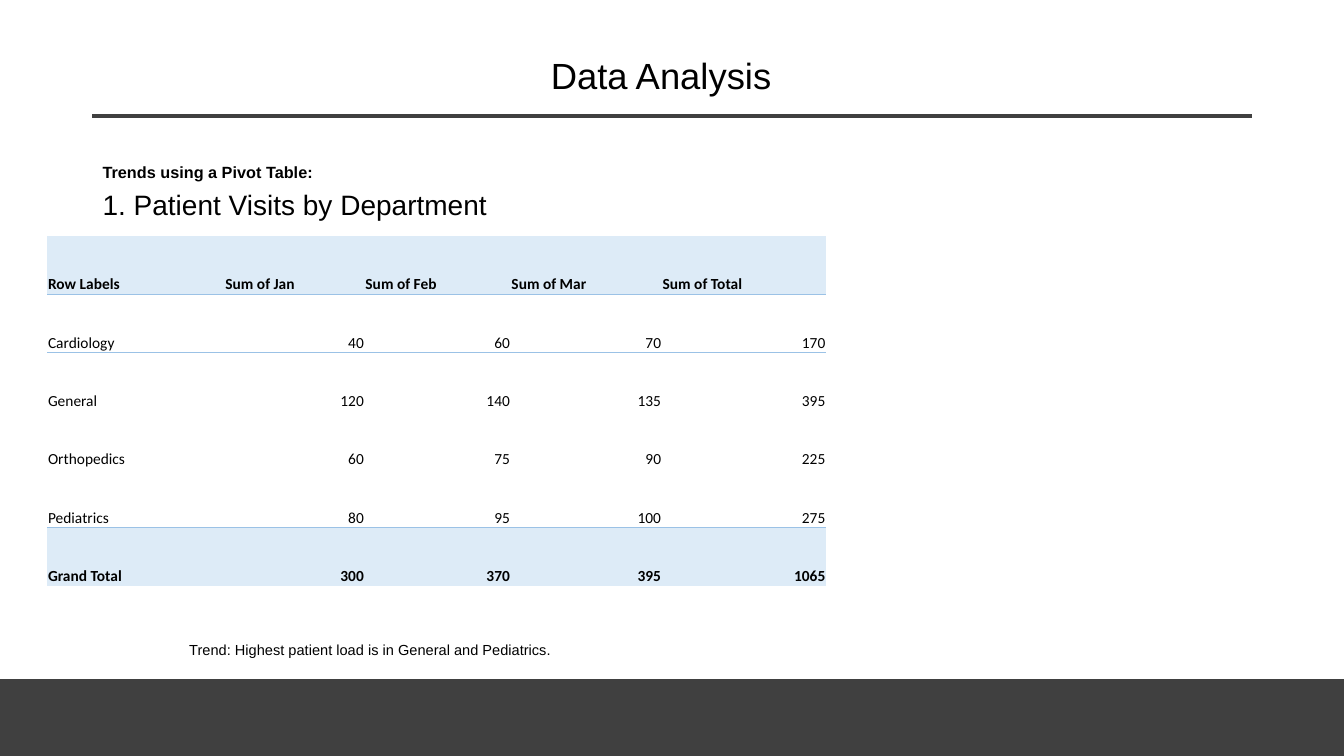
from dataclasses import dataclass

from lxml import etree
from pptx import Presentation
from pptx.dml.color import RGBColor
from pptx.enum.shapes import MSO_CONNECTOR, MSO_SHAPE
from pptx.enum.text import MSO_ANCHOR, MSO_AUTO_SIZE, PP_ALIGN
from pptx.oxml.ns import qn
from pptx.util import Cm, Pt

LEFT, CENTER, RIGHT = PP_ALIGN.LEFT, PP_ALIGN.CENTER, PP_ALIGN.RIGHT
MIDDLE, BOTTOM = MSO_ANCHOR.MIDDLE, MSO_ANCHOR.BOTTOM
NO_FIT, GROW = MSO_AUTO_SIZE.NONE, MSO_AUTO_SIZE.SHAPE_TO_FIT_TEXT
NO_GRID_STYLE = "{2D5ABB26-0587-4C30-8999-92F81FD0307C}"


@dataclass(frozen=True)
class Theme:
    ink: RGBColor = RGBColor(0, 0, 0)
    dark: RGBColor = RGBColor(0x40, 0x40, 0x40)
    band: RGBColor = RGBColor(0xDD, 0xEB, 0xF7)
    rule: str = "9BC2E6"
    text_font: str = "Arial"
    table_font: str = "Calibri"
    title_size: Pt = Pt(26)
    body_size: Pt = Pt(20)
    note_size: Pt = Pt(18)
    table_size: Pt = Pt(11)


THEME = Theme()


def style(para, size, name=THEME.text_font, bold=False, align=LEFT):
    para.alignment = align
    para.font.size, para.font.name, para.font.bold = size, name, bold
    para.font.color.rgb = THEME.ink


def add_lowered_span(para, text):
    """Add a run set as subscript, a quarter below the baseline."""
    span = para.add_run()
    span.text = text
    span._r.get_or_add_rPr().set("baseline", "-25000")


deck = Presentation()
deck.slide_width, deck.slide_height = Cm(33.87), Cm(19.05)
page = deck.slides.add_slide(deck.slide_layouts[1])

# Footer band and title rule
footer = page.shapes.add_shape(MSO_SHAPE.RECTANGLE, 0, Cm(17.14), deck.slide_width, Cm(1.91))
footer.shadow.inherit = False
footer.fill.solid()
footer.fill.fore_color.rgb = THEME.dark
footer.line.color.rgb = THEME.dark
footer.line.width = Pt(1)

title_rule = page.shapes.add_connector(
    MSO_CONNECTOR.STRAIGHT, Cm(2.33), Cm(2.92), Cm(31.54), Cm(2.92))
title_rule.line.color.rgb = THEME.dark
title_rule.line.width = Pt(3)
etree.SubElement(title_rule._element.spPr, qn("a:effectLst"))

# Title
title = page.shapes.title
title.left, title.top, title.width, title.height = Cm(2.06), Cm(0.94), Cm(29.21), Cm(1.91)
title.text_frame.text = "Data Analysis"
title.text_frame.vertical_anchor = MIDDLE
title.text_frame.auto_size = NO_FIT
style(title.text_frame.paragraphs[0], THEME.title_size, align=CENTER)

# Headings above the table
body = page.placeholders[1]
body.left, body.top, body.width, body.height = Cm(2.33), Cm(3.35), Cm(29.21), Cm(13.41)
frame = body.text_frame
frame.auto_size = NO_FIT
frame.margin_top = Cm(0.27)
heading, subheading = frame.paragraphs[0], frame.add_paragraph()
add_lowered_span(heading, "Trends using a Pivot Table:")
subheading.add_run().text = "1. Patient Visits by Department"
for para, space, bold in ((heading, 0, True), (subheading, 4, False)):
    props = para._p.get_or_add_pPr()
    props.set("marL", "0")
    props.set("indent", "0")
    etree.SubElement(props, qn("a:buNone"))
    para.space_before = Pt(space)
    style(para, THEME.body_size, bold=bold)

# Pivot table
visits = [
    ("Row Labels", "Sum of Jan", "Sum of Feb", "Sum of Mar", "Sum of Total"),
    ("Cardiology", 40, 60, 70, 170),
    ("General", 120, 140, 135, 395),
    ("Orthopedics", 60, 75, 90, 225),
    ("Pediatrics", 80, 95, 100, 275),
    ("Grand Total", 300, 370, 395, 1065),
]
column_widths = [4.47, 3.53, 3.68, 3.81, 4.14]
row_height = 1.47
last = len(visits) - 1
table_frame = page.shapes.add_table(
    len(visits), len(column_widths), Cm(1.19), Cm(5.94),
    Cm(sum(column_widths)), Cm(row_height * len(visits)))
table = table_frame.table
table.first_row = table.horz_banding = False
table._tbl.tblPr.find(qn("a:tableStyleId")).text = NO_GRID_STYLE
for column, width in zip(table.columns, column_widths):
    column.width = Cm(width)

for r, values in enumerate(visits):
    table.rows[r].height = Cm(row_height)
    banded = r in (0, last)
    for c, value in enumerate(values):
        cell = table.cell(r, c)
        cell.text = str(value)
        cell.vertical_anchor = BOTTOM
        cell.margin_left = cell.margin_right = cell.margin_top = Cm(0.02)
        cell.margin_bottom = 0
        style(cell.text_frame.paragraphs[0], THEME.table_size, THEME.table_font,
              banded, LEFT if isinstance(value, str) else RIGHT)
        if banded:
            cell.fill.solid()
            cell.fill.fore_color.rgb = THEME.band
        else:
            cell.fill.background()
        # Thin rules under the header and above the grand total
        edges = [("a:lnT", r in (1, last)), ("a:lnB", r in (0, last - 1))]
        for edge in [tag for tag, ruled in edges if ruled]:
            border = etree.Element(qn(edge), w=str(Pt(0.5)))
            fill = etree.SubElement(border, qn("a:solidFill"))
            etree.SubElement(fill, qn("a:srgbClr"), val=THEME.rule)
            cell._tc.get_or_add_tcPr().insert(0, border)

# Trend note
note = page.shapes.add_textbox(Cm(4.52), Cm(15.6), Cm(11.28), Cm(0.76))
note.text_frame.word_wrap = True
note.text_frame.auto_size = GROW
trend = note.text_frame.paragraphs[0]
add_lowered_span(trend, "Trend: Highest patient load is in General and Pediatrics.")
style(trend, THEME.note_size)

deck.save("out.pptx")
